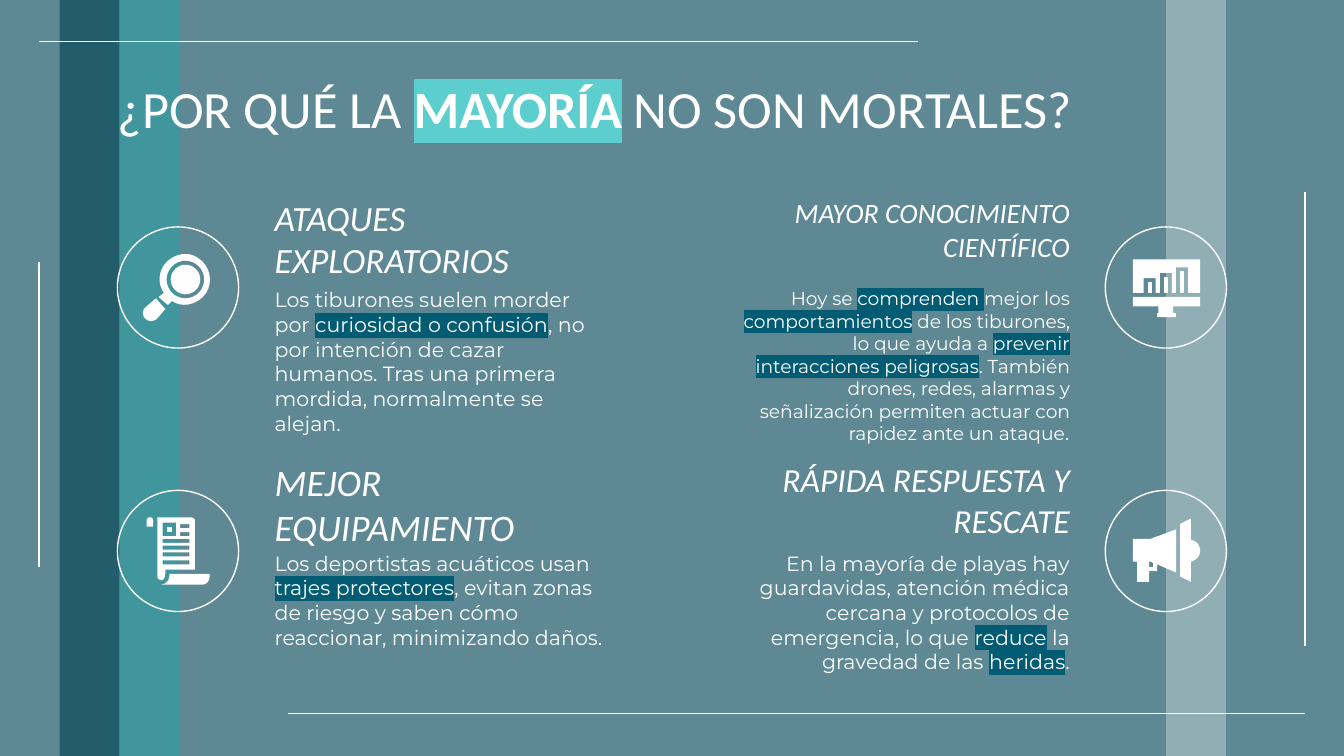
from dataclasses import dataclass

import pptx
import pptx.dml.color
import pptx.enum.dml
import pptx.enum.shapes
import pptx.enum.text
import pptx.oxml
import pptx.oxml.ns
import pptx.util
from pptx.util import Cm

RGBColor = pptx.dml.color.RGBColor
Shape = pptx.enum.shapes.MSO_SHAPE
Align = pptx.enum.text.PP_ALIGN

WHITE = RGBColor(0xFF, 0xFF, 0xFF)
NAVY = RGBColor(0x01, 0x43, 0x55)
TEAL = RGBColor(0x20, 0xA7, 0xA7)
AQUA = RGBColor(0x5D, 0xCE, 0xCE)
PETROL = RGBColor(0x00, 0x5B, 0x73)

WIDTH, HEIGHT = 25.4, 14.29
ICON_UNIT = Cm(2.54) / 100  # icon outlines are drawn in hundredths of an inch
CURVE_STEPS = 8


@dataclass
class Band:
    left: float
    width: float
    color: RGBColor
    opacity: int


@dataclass
class Span:
    text: str
    mark: RGBColor | None = None
    bold: bool | None = None
    font: str | None = None


@dataclass
class Reason:
    column: int
    row: int
    heading: str
    heading_size: int
    body: list[Span]
    body_size: int = 11
    heading_width: float = 6.86


def add_band(page, band: Band) -> None:
    box = page.shapes.add_shape(Shape.RECTANGLE, Cm(band.left), 0, Cm(band.width), Cm(HEIGHT))
    box.shadow.inherit = False
    box.line.fill.background()
    box.fill.solid()
    box.fill.fore_color.rgb = band.color
    color = box.fill._xPr.find(".//" + pptx.oxml.ns.qn("a:srgbClr"))
    color.append(pptx.oxml.parse_xml(
        f'<a:alpha {pptx.oxml.ns.nsdecls("a")} val="{band.opacity * 1000}"/>'))


def write_text(box, spans: list[Span], font: str, size: int, align, italic: bool = False) -> None:
    frame = box.text_frame
    frame.word_wrap = True
    frame.auto_size = pptx.enum.text.MSO_AUTO_SIZE.NONE
    frame.vertical_anchor = pptx.enum.text.MSO_ANCHOR.TOP
    frame.margin_left = frame.margin_right = frame.margin_top = frame.margin_bottom = Cm(0.25)
    para = frame.paragraphs[0]
    para.alignment = align
    para.line_spacing = 1.0
    para.space_before = pptx.util.Pt(0)
    para.font.name, para.font.size, para.font.italic = font, pptx.util.Pt(size), italic
    para.font.color.rgb = WHITE
    for span in spans:
        run = para.add_run()
        run.text = span.text
        run.font.bold = span.bold
        if span.mark is not None:
            run._r.get_or_add_rPr().append(pptx.oxml.parse_xml(
                f'<a:highlight {pptx.oxml.ns.nsdecls("a")}><a:srgbClr val="{span.mark}"/></a:highlight>'))
        if span.font:
            run.font.name = span.font


def add_reason(page, reason: Reason) -> None:
    left = (4.94, 13.61)[reason.column]
    align = (Align.LEFT, Align.RIGHT)[reason.column]
    top = 3.45 + 4.98 * reason.row
    heading = page.shapes.add_textbox(Cm(left), Cm(top), Cm(reason.heading_width), Cm(1.3))
    write_text(heading, [Span(reason.heading)], "Calibri", reason.heading_size, align, italic=True)
    body = page.shapes.add_textbox(Cm(left), Cm(5.18 + 4.98 * reason.row), Cm(6.86), Cm(2.29))
    write_text(body, reason.body, "Montserrat", reason.body_size, align)

    ring = page.shapes.add_shape(
        Shape.OVAL, Cm((2.22, 20.89)[reason.column]), Cm(4.29 + 4.98 * reason.row), Cm(2.29), Cm(2.29))
    ring.shadow.inherit = False
    ring.fill.background()
    ring.line.color.rgb = WHITE
    ring.line.width = pptx.util.Pt(0.75)


def add_rule(page, x1: float, y1: float, x2: float, y2: float) -> None:
    rule = page.shapes.add_connector(
        pptx.enum.shapes.MSO_CONNECTOR.STRAIGHT, Cm(x1), Cm(y1), Cm(x2), Cm(y2))
    rule.line.color.rgb = WHITE
    rule.line.width = pptx.util.Pt(0.75)
    rule._element.spPr.append(pptx.oxml.parse_xml(f'<a:effectLst {pptx.oxml.ns.nsdecls("a")}/>'))


def rect(left: float, top: float, right: float, bottom: float) -> list[tuple]:
    return [(left, top), (right, top), (right, bottom), (left, bottom)]


def circle(x: float, y: float, r: float) -> list[tuple]:
    k = 0.55 * r
    return [(x, y - r), (x + k, y - r, x + r, y - k, x + r, y), (x + r, y + k, x + k, y + r, x, y + r),
            (x - k, y + r, x - r, y + k, x - r, y), (x - r, y - k, x - k, y - r, x, y - r)]


def flatten(contour: list[tuple]) -> list[tuple]:
    """Turn corners (x, y) and cubic curves (six numbers) into points in EMU."""
    points = []
    for step in contour:
        if len(step) == 2:
            points.append(step)
            continue
        nodes = [points[-1], step[:2], step[2:4], step[4:]]
        for i in range(1, CURVE_STEPS + 1):
            t = i / CURVE_STEPS
            weights = ((1 - t) ** 3, 3 * t * (1 - t) ** 2, 3 * t * t * (1 - t), t ** 3)
            points.append(tuple(sum(w * node[axis] for w, node in zip(weights, nodes)) for axis in (0, 1)))
    return [(x * ICON_UNIT, y * ICON_UNIT) for x, y in points]


def add_icon(page, parts: list[list[list[tuple]]]) -> None:
    group = page.shapes.add_group_shape()
    for contours in parts:
        first, *others = [flatten(contour) for contour in contours]
        builder = group.shapes.build_freeform(*first[0], scale=1.0)
        builder.add_line_segments(first[1:], close=True)
        for points in others:
            builder.move_to(*points[0])
            builder.add_line_segments(points[1:], close=True)
        part = builder.convert_to_shape()
        part.shadow.inherit = False
        part.fill.solid()
        part.fill.fore_color.rgb = WHITE
        part.line.fill.background()


BANDS = [Band(0, WIDTH, NAVY, 63), Band(1.13, 1.13, NAVY, 63),
         Band(2.26, 1.13, TEAL, 47), Band(22.04, 1.13, WHITE, 32)]
RULES = [(0.74, 0.79, 17.35, 0.79), (24.66, 3.63, 24.66, 12.22),
         (24.66, 13.49, 5.44, 13.49), (0.74, 4.95, 0.74, 10.72)]
TITLE = [Span("¿POR QUÉ LA "), Span("MAYORÍA", AQUA, True), Span(" NO SON MORTALES?")]
REASONS = [
    Reason(0, 0, "ATAQUES EXPLORATORIOS", 19, [
        Span("Los tiburones suelen morder por "), Span("curiosidad o confusión", PETROL),
        Span(", no por intención de cazar humanos. Tras una primera mordida, normalmente se alejan."),
    ], heading_width=7.47),
    Reason(0, 1, "MEJOR EQUIPAMIENTO", 20, [
        Span("Los deportistas acuáticos usan "), Span("trajes protectores", PETROL),
        Span(", evitan zonas de riesgo y saben cómo reaccionar, minimizando daños.")]),
    Reason(1, 1, "RÁPIDA RESPUESTA Y RESCATE", 18, [
        Span("En la mayoría de playas hay guardavidas, atención médica cercana y protocolos "
             "de emergencia, lo que "),
        Span("reduce", PETROL), Span(" la gravedad de las "), Span("heridas", PETROL), Span(".")]),
    Reason(1, 0, "MAYOR CONOCIMIENTO CIENTÍFICO", 15, [
        Span("Hoy se "), Span("comprenden ", PETROL), Span("mejor los "), Span("comportamientos", PETROL),
        Span(" de los tiburones, lo que ayuda a "), Span("prevenir interacciones peligrosas", PETROL),
        Span(". También drones, redes, alarmas y señalización permiten actuar con rapidez ante un ataque"),
        Span(".", font="Arial")], body_size=10),
]

MAGNIFIER = [
    [circle(138, 208, 11)],
    [[(116, 222), (109, 228), (105, 231, 106, 235, 108, 237), (111, 240, 115, 239, 117, 237), (123, 230)]],
    [[(138, 189), (133, 189, 128, 191, 124, 195), (118, 201, 117, 211, 122, 218), (118, 221), (125, 227),
      (128, 224), (135, 229, 145, 227, 151, 221), (158, 214, 158, 202, 151, 195),
      (147, 191, 143, 189, 138, 189)], circle(138, 208, 14)],
]
MONITOR = [
    *[[rect(x, top, x + 3, 218)] for x, top in ((854, 210), (866, 206), (878, 202))],
    [[(843, 193), (843, 218), (851, 218), (851, 207), (860, 207), (860, 218), (863, 218), (863, 203),
      (872, 203), (872, 218), (875, 218), (875, 199), (884, 199), (884, 218), (893, 218), (893, 193)]],
    [[(843, 221), (843, 228), (862, 228), (862, 233), (861, 233), (861, 236), (875, 236), (875, 233),
      (873, 233), (873, 228), (893, 228), (893, 221)]],
]
MEGAPHONE = [
    [[(886, 386), (878, 390), (878, 429), (886, 433), (886, 418), (890, 417, 893, 414, 893, 410),
      (893, 406, 890, 402, 886, 402)]],
    [[(875, 394), (856, 401), (843, 401), (843, 418), (846, 418), (846, 433), (855, 433), (855, 425),
      (861, 425), (861, 420), (875, 426)], [(856, 418), (858, 419), (858, 422), (855, 422), (855, 418)]],
]
SCROLL = [
    [[(112, 385), (110, 385, 109, 386, 109, 388), (109, 392), (114, 392), (114, 388),
      (114, 386, 113, 385, 112, 385)]],
    [rect(124, 392, 128, 396)],
    [[(117, 385), (117, 429), (118, 433, 123, 433, 123, 427), (123, 424), (145, 424), (145, 387),
      (145, 386, 143, 385, 142, 385)],
     rect(121, 389, 131, 399), rect(134, 390, 141, 393), rect(134, 396, 141, 399),
     *[rect(121, y, 141, y + 3) for y in (401, 406, 411, 417)]],
    [[(126, 427), (126, 429), (126, 432, 123, 435, 120, 435), (151, 435),
      (154, 435, 156, 432, 156, 429), (156, 427)]],
]


def main() -> None:
    deck = pptx.Presentation()
    deck.slide_width, deck.slide_height = Cm(WIDTH), Cm(HEIGHT)
    page = deck.slides.add_slide(deck.slide_layouts[5])

    # Background bands, with the title brought in front of them
    for band in BANDS:
        add_band(page, band)
    title = page.shapes.title
    title.left, title.top, title.width, title.height = Cm(1.98), Cm(1.19), Cm(21.44), Cm(1.3)
    page.shapes._spTree.append(title._element)
    write_text(title, TITLE, "Calibri", 28, Align.LEFT)

    # Four reasons, framing rules and icons
    for reason in REASONS:
        add_reason(page, reason)
    for rule in RULES:
        add_rule(page, *rule)
    for icon in (MAGNIFIER, MONITOR, MEGAPHONE, SCROLL):
        add_icon(page, icon)

    deck.save("out.pptx")


if __name__ == "__main__":
    main()
